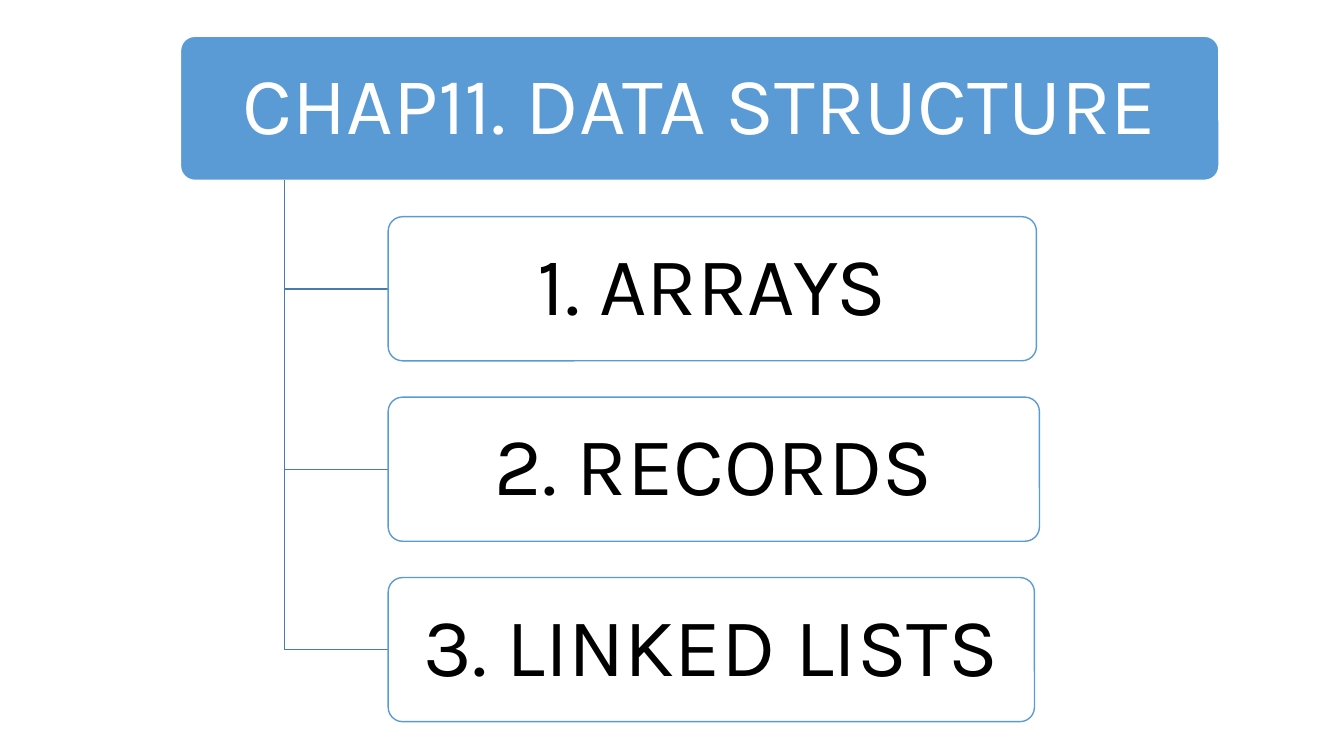
"""Build a chapter outline slide: a heading box with three topics branching from it."""
from dataclasses import dataclass

import pptx
import pptx.dml.color
import pptx.enum.shapes
import pptx.enum.text
import pptx.util
from pptx.util import Inches

COLOURS = {"blue": "5B9BD5", "branch": "497CAB", "white": "FFFFFF", "black": "000000"}
FONT = "Karla"
TOP, PITCH, BOX_HEIGHT = 0.36, 1.79, 1.43
TRUNK_LEFT, TOPIC_LEFT = 2.82, 3.85


@dataclass(frozen=True)
class OutlineBox:
    label: str
    left: float
    width: float
    size: int
    fill: str
    line: str
    ink: str


def topic(label: str, width: float) -> OutlineBox:
    return OutlineBox(label, TOPIC_LEFT, width, 59, "white", "blue", "black")


HEADING = OutlineBox("CHAP11. DATA STRUCTURE", 1.79, 10.3, 58, "blue", "white", "white")
TOPICS = [topic("1. ARRAYS", 6.43), topic("2. RECORDS", 6.46), topic("3. LINKED LISTS", 6.41)]


def colour(name: str) -> pptx.dml.color.RGBColor:
    return pptx.dml.color.RGBColor.from_string(COLOURS[name])


def set_line(shape, name: str) -> None:
    shape.shadow.inherit = False
    shape.line.color.rgb = colour(name)
    shape.line.width = pptx.util.Pt(1)


def draw_box(slide, box: OutlineBox, level: int) -> None:
    shape = slide.shapes.add_shape(
        pptx.enum.shapes.MSO_SHAPE.ROUNDED_RECTANGLE,
        Inches(box.left), Inches(TOP + level * PITCH), Inches(box.width), Inches(BOX_HEIGHT),
    )
    shape.adjustments[0] = 0.1
    shape.fill.solid()
    shape.fill.fore_color.rgb = colour(box.fill)
    set_line(shape, box.line)

    frame = shape.text_frame
    frame.text = box.label
    frame.word_wrap = True
    frame.vertical_anchor = pptx.enum.text.MSO_ANCHOR.MIDDLE
    frame.margin_left = frame.margin_right = Inches(0.12)
    frame.margin_top = frame.margin_bottom = Inches(0.08)
    para = frame.paragraphs[0]
    para.alignment = pptx.enum.text.PP_ALIGN.CENTER
    para.line_spacing = 0.9
    font = para.runs[0].font
    font.name = FONT
    font.size = pptx.util.Pt(box.size)
    font.color.rgb = colour(box.ink)


def draw_branch(slide, level: int) -> None:
    start = Inches(TOP + BOX_HEIGHT)
    middle = Inches(TOP + level * PITCH + BOX_HEIGHT / 2)
    builder = slide.shapes.build_freeform(Inches(TRUNK_LEFT), start)
    builder.add_line_segments(
        [(Inches(TRUNK_LEFT), middle), (Inches(TOPIC_LEFT), middle)], close=False
    )
    branch = builder.convert_to_shape()
    branch.fill.background()
    set_line(branch, "branch")


def main() -> None:
    deck = pptx.Presentation()
    deck.slide_width, deck.slide_height = Inches(13.33), Inches(7.5)
    slide = deck.slides.add_slide(deck.slide_layouts[6])
    draw_box(slide, HEADING, 0)
    for level, box in enumerate(TOPICS, start=1):
        draw_branch(slide, level)
        draw_box(slide, box, level)
    deck.save("out.pptx")


if __name__ == "__main__":
    main()
